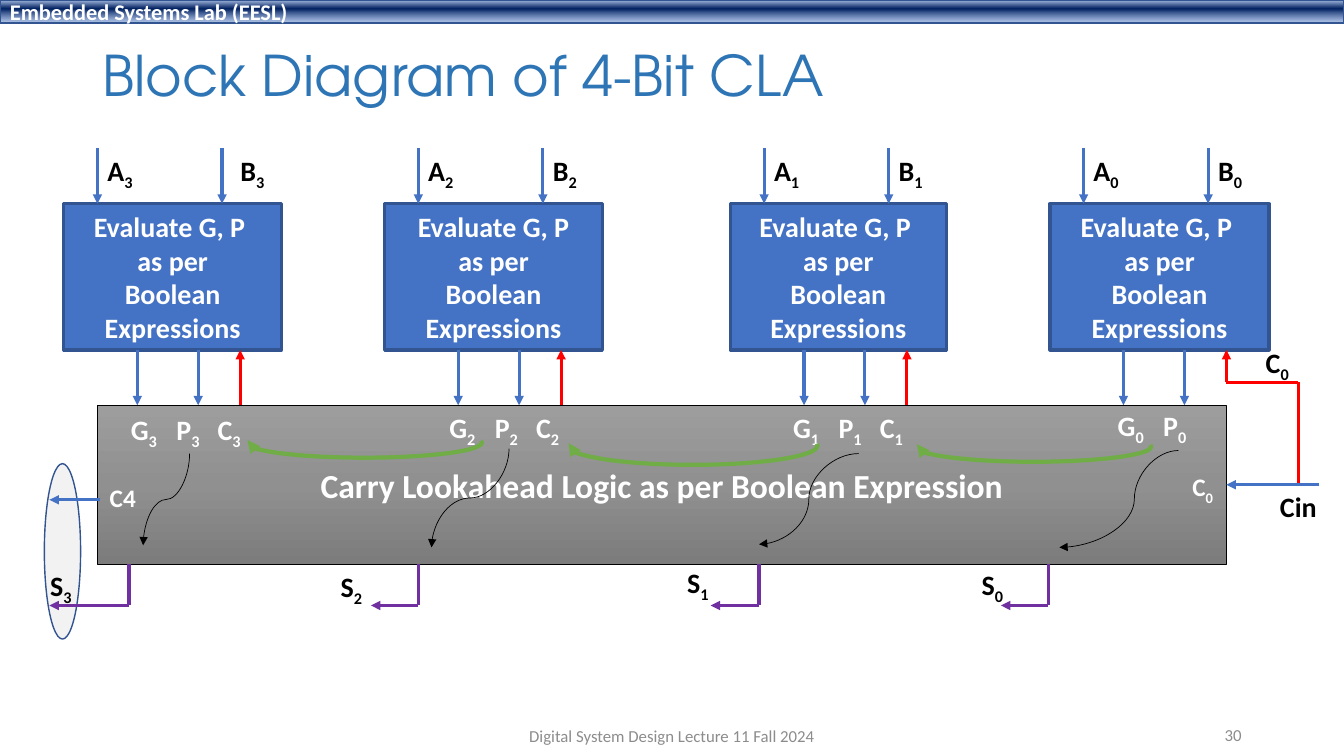
"""Build the block diagram slide of a 4-bit carry lookahead adder."""
from dataclasses import dataclass

from lxml import etree
from pptx import Presentation
from pptx.dml.color import RGBColor
from pptx.enum.shapes import MSO_CONNECTOR, MSO_SHAPE
from pptx.enum.text import MSO_ANCHOR, PP_ALIGN
from pptx.oxml.ns import qn
from pptx.shapes.autoshape import Shape
from pptx.shapes.connector import Connector
from pptx.slide import Slide
from pptx.util import Pt

STRAIGHT, CURVE = MSO_CONNECTOR.STRAIGHT, MSO_CONNECTOR.CURVE
RECTANGLE, OVAL, ARC = MSO_SHAPE.RECTANGLE, MSO_SHAPE.OVAL, MSO_SHAPE.ARC
LEFT, CENTER, RIGHT = PP_ALIGN.LEFT, PP_ALIGN.CENTER, PP_ALIGN.RIGHT
TOP, MIDDLE = MSO_ANCHOR.TOP, MSO_ANCHOR.MIDDLE

WHITE = RGBColor(0xFF, 0xFF, 0xFF)
BLACK = RGBColor(0x00, 0x00, 0x00)
BLUE = RGBColor(0x44, 0x72, 0xC4)
OUTLINE = RGBColor(0x32, 0x54, 0x91)
TITLE_BLUE = RGBColor(0x2E, 0x75, 0xB6)
RED = RGBColor(0xFF, 0x00, 0x00)
PURPLE = RGBColor(0x70, 0x30, 0xA0)
GREEN = RGBColor(0x70, 0xAD, 0x47)
PALE = RGBColor(0xF2, 0xF2, 0xF2)
FOOTER_GRAY = RGBColor(0x8C, 0x8C, 0x8C)
HEADER_STOPS = [(2, RGBColor(0xAB, 0xC0, 0xE4), 100), (38, RGBColor(0x00, 0x20, 0x60), 100),
                (93, RGBColor(0x7E, 0x9E, 0xD6), 64)]
LOGIC_STOPS = [(0, RGBColor(0x9D, 0x9D, 0x9D), 100), (50, RGBColor(0x90, 0x90, 0x90), 100),
               (100, RGBColor(0x7C, 0x7C, 0x7C), 100)]

INPUT_TOP, BLOCK_TOP, BLOCK_BOTTOM = 106, 145.5, 250
LOGIC_LEFT, LOGIC_TOP, LOGIC_RIGHT, LOGIC_BOTTOM = 69.6, 289.5, 876, 403
CARRY_IN_Y, SUM_Y = 346.25, 432.5
ELBOW_X, ELBOW_Y = 927.5, 273


@dataclass
class Stage:
    """One bit of the adder; pin is the x of its A input."""
    bit: str
    pin: float
    width: float
    signals: tuple[float, float]
    sum_x: float
    sum_tip: float
    sum_label: tuple[float, float]
    heading: str = "Evaluate G, P "


@dataclass
class CarryArc:
    """A green arc from a propagate signal to the next carry."""
    left: float
    top: float
    width: float
    height: float


@dataclass
class SumCurve:
    """A thin curve from a propagate signal to its sum output."""
    start: tuple[float, float]
    end: tuple[float, float]
    bend: float = 0.5
    upright: bool = False


STAGES = [
    Stage("0", 774, 156.5, (791.3, 288), 748.8, 715, (694.1, 401.8)),
    Stage("1", 545.8, 154, (559.4, 289.4), 542.2, 507.6, (483.8, 400.3)),
    Stage("2", 298.8, 155.5, (313.9, 289.4), 298.8, 265, (236.2, 403.2), "Evaluate G, P"),
    Stage("3", 69.6, 155.5, (86.4, 290.9), 92.2, 35.3, (28.8, 402.5)),
]
CARRY_ARCS = [CarryArc(653.8, 308.2, 168.5, 21.6), CarryArc(405.4, 304.6, 178.6, 27.4),
              CarryArc(175.7, 305.3, 168.5, 21.6)]
SUM_CURVES = [
    SumCurve((841.7, 321.8), (756.7, 391), bend=0.37),
    SumCurve((613.4, 324), (542.2, 388.8)),
    SumCurve((363.6, 320.4), (308.2, 391), upright=True),
    SumCurve((135.4, 324), (102.2, 389.5), upright=True),
]


def write_text(box: Shape, *lines: str, subscript: str = "", size: float = 20,
               color: RGBColor = BLACK, bold: bool = True, font: str = "Calibri",
               align: PP_ALIGN = LEFT, anchor: MSO_ANCHOR = TOP, spacing: float = 1.0) -> None:
    frame = box.text_frame
    frame.word_wrap = True
    frame.vertical_anchor = anchor
    for number, line in enumerate(lines):
        para = frame.add_paragraph() if number else frame.paragraphs[0]
        para.alignment = align
        para.line_spacing = spacing
        spans = [para.add_run()]
        spans[0].text = line
        if subscript:
            spans.append(para.add_run())
            spans[1].text = subscript
            spans[1]._r.get_or_add_rPr().set("baseline", "-25000")
        for span in spans:
            span.font.name, span.font.size, span.font.bold = font, Pt(size), bold
            span.font.color.rgb = color


def add_label(page: Slide, text: str, left: float, top: float, width: float = 44,
              height: float = 31.5, **text_format) -> None:
    box = page.shapes.add_textbox(Pt(left), Pt(top), Pt(width), Pt(height))
    write_text(box, text, **text_format)


def add_box(page: Slide, kind: MSO_SHAPE, left: float, top: float, width: float, height: float,
            fill: RGBColor | None, line: RGBColor, weight: float) -> Shape:
    box = page.shapes.add_shape(kind, Pt(left), Pt(top), Pt(width), Pt(height))
    box.shadow.inherit = False
    if fill is None:
        box.fill.background()
    else:
        box.fill.solid()
        box.fill.fore_color.rgb = fill
    box.line.color.rgb = line
    box.line.width = Pt(weight)
    return box


def set_gradient(box: Shape, stops: list[tuple[int, RGBColor, int]]) -> None:
    box.fill.gradient()
    box.fill.gradient_angle = 270
    stop_list = box.element.spPr.find(".//" + qn("a:gsLst"))
    stop_list.clear()
    for position, color, opacity in stops:
        stop = etree.SubElement(stop_list, qn("a:gs"), pos=str(position * 1000))
        tone = etree.SubElement(stop, qn("a:srgbClr"), val=str(color))
        if opacity < 100:
            etree.SubElement(tone, qn("a:alpha"), val=str(opacity * 1000))


def add_arrowhead(shape: Shape | Connector) -> None:
    etree.SubElement(shape.element.spPr.get_or_add_ln(), qn("a:tailEnd"), type="triangle")


def add_line(page: Slide, start: tuple[float, float], end: tuple[float, float], color: RGBColor,
             arrow: bool = True, weight: float = 2.25, kind: MSO_CONNECTOR = STRAIGHT) -> Connector:
    line = page.shapes.add_connector(kind, Pt(start[0]), Pt(start[1]), Pt(end[0]), Pt(end[1]))
    line.line.color.rgb = color
    line.line.width = Pt(weight)
    if arrow:
        add_arrowhead(line)
    etree.SubElement(line.element.spPr, qn("a:effectLst"))
    return line


def add_sum_curve(page: Slide, curve: SumCurve) -> None:
    start, end = curve.start, curve.end
    if curve.upright:
        middle_x, middle_y = (start[0] + end[0]) / 2, (start[1] + end[1]) / 2
        half_width, half_height = (end[1] - start[1]) / 2, (start[0] - end[0]) / 2
        start = (middle_x - half_width, middle_y - half_height)
        end = (middle_x + half_width, middle_y + half_height)
    line = add_line(page, start, end, BLACK, weight=0.5, kind=CURVE)
    properties = line.element.spPr
    if curve.upright:
        properties.find(qn("a:xfrm")).set("rot", "5400000")
    guides = properties.find(".//" + qn("a:avLst"))
    etree.SubElement(guides, qn("a:gd"), name="adj1", fmla=f"val {round(curve.bend * 100000)}")


def add_block(page: Slide, stage: Stage) -> None:
    block = add_box(page, RECTANGLE, stage.pin - 24, BLOCK_TOP, stage.width,
                    BLOCK_BOTTOM - BLOCK_TOP, BLUE, OUTLINE, 2.25)
    write_text(block, stage.heading, "as per", "Boolean Expressions",
               color=WHITE, align=CENTER, anchor=MIDDLE)
    for name, offset in (("A", 0), ("B", 89)):
        x = stage.pin + offset
        add_line(page, (x, INPUT_TOP), (x, BLOCK_TOP), BLUE)
        label_shift = 6 if name + stage.bit == "B3" else 0
        add_label(page, name, x + label_shift, INPUT_TOP, subscript=stage.bit)
    for offset in (28.5, 72):
        x = stage.pin + offset
        add_line(page, (x, BLOCK_BOTTOM), (x, LOGIC_TOP), BLUE)
    carry_x = stage.pin + 102
    carry_start = ELBOW_Y if stage.bit == "0" else LOGIC_TOP
    add_line(page, (carry_x, carry_start), (carry_x, BLOCK_BOTTOM), RED)


def add_outputs(page: Slide, stage: Stage) -> None:
    left, top = stage.signals
    names = "GP" if stage.bit == "0" else "GPC"
    for name, offset in zip(names, (0, 32.5, 62)):
        add_label(page, name, left + offset, top, subscript=stage.bit, color=WHITE)
    add_line(page, (stage.sum_x, LOGIC_BOTTOM), (stage.sum_x, SUM_Y), PURPLE, arrow=False)
    add_line(page, (stage.sum_x, SUM_Y), (stage.sum_tip, SUM_Y), PURPLE)
    add_label(page, "S", *stage.sum_label, subscript=stage.bit)


def main() -> None:
    deck = Presentation()
    deck.slide_width, deck.slide_height = Pt(960), Pt(540)
    page = deck.slides.add_slide(deck.slide_layouts[6])

    header = add_box(page, RECTANGLE, 0, 0, 960, 16.5, WHITE, OUTLINE, 1)
    set_gradient(header, HEADER_STOPS)
    write_text(header, "Embedded Systems Lab (EESL)", size=16, color=WHITE, anchor=MIDDLE)
    add_label(page, "Block Diagram of 4-Bit CLA", 66, 28.8, 828, 54, size=40, bold=False,
              color=TITLE_BLUE, font="TeX Gyre Adventor", anchor=MIDDLE, spacing=0.9)
    footer = {"size": 12, "bold": False, "color": FOOTER_GRAY, "anchor": MIDDLE}
    add_label(page, "Digital System Design Lecture 11 Fall 2024", 318, 511, 324, 29,
              align=CENTER, **footer)
    add_label(page, "30", 678, 510.5, 216, 29, align=RIGHT, **footer)

    for stage in STAGES:
        add_block(page, stage)
    logic = add_box(page, RECTANGLE, LOGIC_LEFT, LOGIC_TOP, LOGIC_RIGHT - LOGIC_LEFT,
                    LOGIC_BOTTOM - LOGIC_TOP, WHITE, BLACK, 0.5)
    set_gradient(logic, LOGIC_STOPS)
    write_text(logic, "Carry Lookahead Logic as per Boolean Expression", size=24,
               color=WHITE, align=CENTER, anchor=MIDDLE)
    add_box(page, OVAL, 31.7, 331.2, 25.9, 125.3, PALE, OUTLINE, 1)

    add_line(page, (STAGES[0].pin + 102, ELBOW_Y), (ELBOW_X, ELBOW_Y), RED, arrow=False)
    add_line(page, (ELBOW_X, ELBOW_Y), (ELBOW_X, CARRY_IN_Y), RED, arrow=False)
    carry_in = add_line(page, (942.5, CARRY_IN_Y), (LOGIC_RIGHT, CARRY_IN_Y), BLUE)
    carry_in.end_connect(logic, 3)
    add_line(page, (71.3, 357), (35.3, 357), BLUE)
    add_label(page, "C", 897, 243.4, subscript="0")
    add_label(page, "C", 844.6, 333.4, subscript="0", size=18, color=WHITE)
    add_label(page, "Cin", 907.2, 346.3)
    add_label(page, "C4", 71.3, 341.3, size=18, color=WHITE)

    for stage in STAGES:
        add_outputs(page, stage)
    for carry in CARRY_ARCS:
        arc = add_box(page, ARC, carry.left, carry.top, carry.width, carry.height, None, GREEN, 3)
        arc.rotation = 180
        arc.adjustments[0], arc.adjustments[1] = 107.48, 0.71
        add_arrowhead(arc)
    for curve in SUM_CURVES:
        add_sum_curve(page, curve)
    deck.save("out.pptx")


if __name__ == "__main__":
    main()
